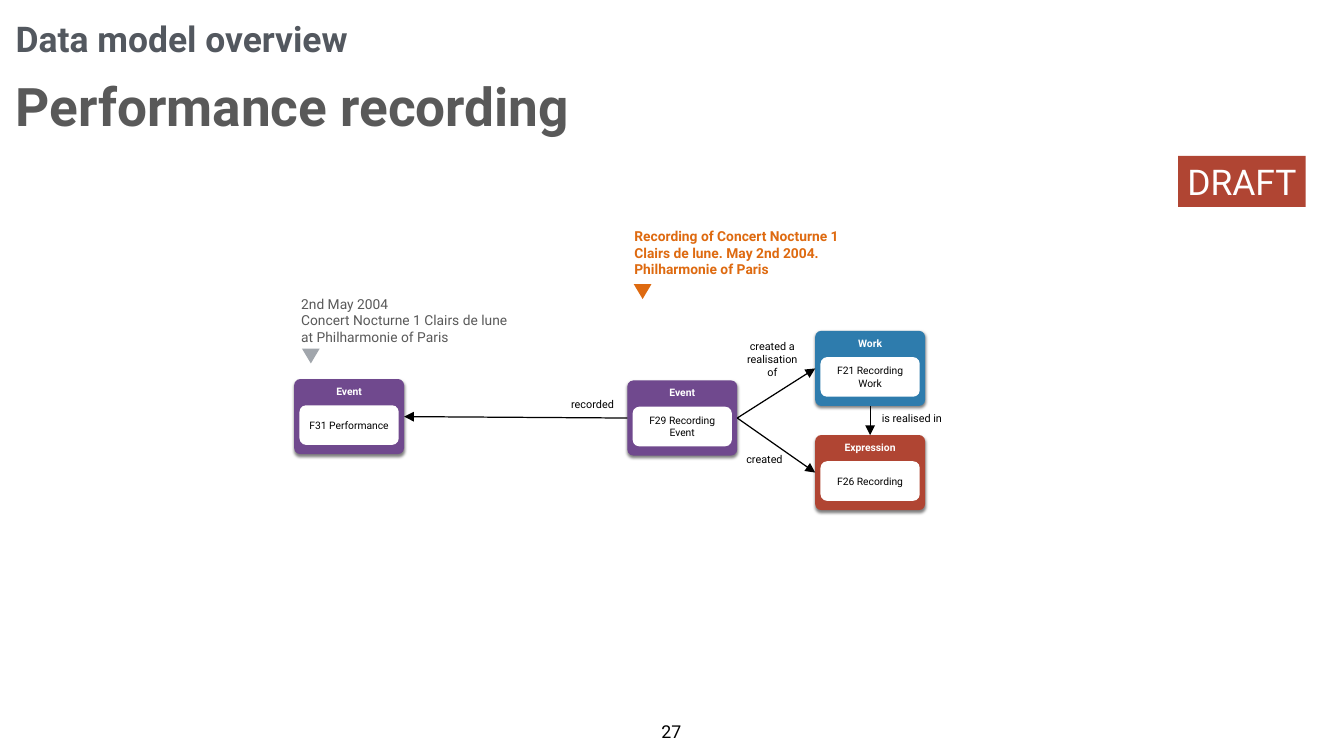
from dataclasses import dataclass
from typing import NamedTuple

from lxml import etree
from pptx import Presentation
from pptx.dml.color import RGBColor
from pptx.enum.shapes import MSO_CONNECTOR, MSO_SHAPE
from pptx.enum.text import MSO_ANCHOR, PP_ALIGN
from pptx.oxml.ns import qn
from pptx.util import Inches, Pt

LEFT, CENTER = PP_ALIGN.LEFT, PP_ALIGN.CENTER
TOP, MIDDLE = MSO_ANCHOR.TOP, MSO_ANCHOR.MIDDLE
ROUNDED, RECT = MSO_SHAPE.ROUNDED_RECTANGLE, MSO_SHAPE.RECTANGLE
TRIANGLE = MSO_SHAPE.ISOSCELES_TRIANGLE
STRAIGHT = MSO_CONNECTOR.STRAIGHT
SIDE_TOP, SIDE_LEFT, SIDE_BOTTOM, SIDE_RIGHT = range(4)

# Grid: square cells, positions in columns and rows
CELL = 0.5
COLUMNS, ROWS = 37.92, 21.34


def cells(n: float) -> int:
    return Inches(n * CELL)


class Style(NamedTuple):
    size: float
    color: str
    bold: bool = False
    align: PP_ALIGN = CENTER
    anchor: MSO_ANCHOR = MIDDLE
    wrap: bool = True
    inset: tuple[float, float] = (0.06, 0.06)


@dataclass(frozen=True)
class Theme:
    font: str = "Roboto"
    white: str = "FFFFFF"
    black: str = "000000"
    purple: str = "70498E"
    red: str = "B04533"
    blue: str = "2E7CAD"
    orange: str = "DE6A10"
    silver: str = "A1A6AC"
    title: Style = Style(36, "53585F", True, LEFT)
    subtitle: Style = Style(54, "595959", True, LEFT)
    number: Style = Style(18, "000000", anchor=TOP, wrap=False)
    draft: Style = Style(36, "FFFFFF", wrap=False)
    kind: Style = Style(10.5, "FFFFFF", True, anchor=TOP)
    entity: Style = Style(10.5, "000000")
    relation: Style = Style(11, "000000", wrap=False)
    relation_wrapped: Style = Style(11, "000000")
    note: Style = Style(14, "595959", False, LEFT, TOP, inset=(0.1, 0.05))
    highlight: Style = Style(14, "DE6A10", True, LEFT, TOP, inset=(0.1, 0.05))


THEME = Theme()


class Box(NamedTuple):
    left: float
    top: float
    width: float
    height: float


@dataclass(frozen=True)
class Label:
    text: str
    box: Box
    style: Style


@dataclass(frozen=True)
class Card:
    kind: str
    entity: str
    left: float
    top: float
    color: str


@dataclass(frozen=True)
class Link:
    source: str
    source_side: int
    target: str
    target_side: int


@dataclass(frozen=True)
class Marker:
    left: float
    top: float
    color: str


PERFORMANCE, EVENT = "F31 Performance", "F29 Recording Event"
WORK, RECORDING = "F21 Recording Work", "F26 Recording"

CARDS = [
    Card("Event", EVENT, 17.7, 10.74, THEME.purple),
    Card("Expression", RECORDING, 23, 12.28, THEME.red),
    Card("Work", WORK, 23, 9.34, THEME.blue),
    Card("Event", PERFORMANCE, 8.3, 10.7, THEME.purple),
]
LINKS = [
    Link(EVENT, SIDE_RIGHT, RECORDING, SIDE_LEFT),
    Link(EVENT, SIDE_RIGHT, WORK, SIDE_LEFT),
    Link(WORK, SIDE_BOTTOM, RECORDING, SIDE_TOP),
    Link(EVENT, SIDE_LEFT, PERFORMANCE, SIDE_RIGHT),
]
LABELS = [
    Label("Data model overview", Box(0.32, 0.2, 32.38, 1.76), THEME.title),
    Label("Performance recording", Box(0.32, 1.96, 32.38, 2), THEME.subtitle),
    Label("27", Box(18.38, 20.24, 1.12, 0.84), THEME.number),
    Label("is realised in", Box(24.53, 11.5, 2.4, 0.6), THEME.relation),
    Label("created", Box(20.67, 12.66, 1.8, 0.6), THEME.relation),
    Label("created a\nrealisation of", Box(20.8, 9.66, 1.98, 0.96), THEME.relation_wrapped),
    Label("recorded", Box(15.72, 11.1, 2, 0.6), THEME.relation),
    Label("2nd May 2004\nConcert Nocturne 1 Clairs de lune\nat Philharmonie of Paris",
          Box(8.3, 8.24, 7.18, 1.62), THEME.note),
    Label("Recording of Concert Nocturne 1 Clairs de lune. May 2nd 2004. Philharmonie of Paris",
          Box(17.7, 6.34, 7.18, 1.62), THEME.highlight),
]
MARKERS = [Marker(8.52, 9.84, THEME.silver), Marker(17.88, 8.02, THEME.orange)]
DRAFT = Label("DRAFT", Box(33.24, 4.4, 3.6, 1.44), THEME.draft)


def write(s, text: str, style: Style) -> None:
    tf = s.text_frame
    across, down = (Inches(n) for n in style.inset)
    frame = dict(word_wrap=style.wrap, vertical_anchor=style.anchor, margin_left=across,
                 margin_right=across, margin_top=down, margin_bottom=down)
    for name, value in frame.items():
        setattr(tf, name, value)
    for i, line in enumerate(text.split("\n")):
        p = tf.paragraphs[0] if i == 0 else tf.add_paragraph()
        p.alignment = style.align
        r = p.add_run()
        r.text = line
        for name, value in dict(name=THEME.font, size=Pt(style.size), bold=style.bold).items():
            setattr(r.font, name, value)
        r.font.color.rgb = RGBColor.from_string(style.color)


def add_label(slide, label: Label) -> None:
    write(slide.shapes.add_textbox(*map(cells, label.box)), label.text, label.style)


def add_filled(slide, preset: MSO_SHAPE, box: Box, color: str):
    s = slide.shapes.add_shape(preset, *map(cells, box))
    s.shadow.inherit = False
    s.fill.solid()
    s.fill.fore_color.rgb = RGBColor.from_string(color)
    s.line.fill.background()
    return s


def add_soft_shadow(s) -> None:
    effects = s._element.spPr.find(qn("a:effectLst"))
    shadow = etree.SubElement(effects, qn("a:outerShdw"), blurRad=str(Pt(3)), dist=str(Pt(2)),
                              dir="5400000", rotWithShape="0")
    color = etree.SubElement(shadow, qn("a:srgbClr"), val=THEME.black)
    etree.SubElement(color, qn("a:alpha"), val="50000")


def add_card(slide, card: Card):
    s = add_filled(slide, ROUNDED, Box(card.left, card.top, 3.1, 2.12), card.color)
    s.adjustments[0] = 0.08
    add_soft_shadow(s)
    write(s, card.kind, THEME.kind)
    inner = add_filled(slide, ROUNDED, Box(card.left + 0.15, card.top + 0.74, 2.8, 1.12), THEME.white)
    write(inner, card.entity, THEME.entity)
    return s


def add_link(slide, link: Link, cards: dict) -> None:
    c = slide.shapes.add_connector(STRAIGHT, 0, 0, 0, 0)
    c.begin_connect(cards[link.source], link.source_side)
    c.end_connect(cards[link.target], link.target_side)
    c.line.color.rgb = RGBColor.from_string(THEME.black)
    c.line.width = Pt(1.25)
    etree.SubElement(c.line._get_or_add_ln(), qn("a:tailEnd"), type="triangle", w="lg", len="lg")
    etree.SubElement(c._element.spPr, qn("a:effectLst"))


def main() -> None:
    prs = Presentation()
    prs.slide_width, prs.slide_height = cells(COLUMNS), cells(ROWS)
    slide = prs.slides.add_slide(prs.slide_layouts[6])

    # Model: cards and the relations between them
    cards = {card.entity: add_card(slide, card) for card in CARDS}
    for link in LINKS:
        add_link(slide, link, cards)

    # Headings, relation names and notes
    for label in LABELS:
        add_label(slide, label)

    # Downward markers under the notes
    for marker in MARKERS:
        add_filled(slide, TRIANGLE, Box(marker.left, marker.top, 0.5, 0.42), marker.color).rotation = 180

    # Draft stamp
    write(add_filled(slide, RECT, DRAFT.box, THEME.red), DRAFT.text, DRAFT.style)
    prs.save("out.pptx")


if __name__ == "__main__":
    main()
